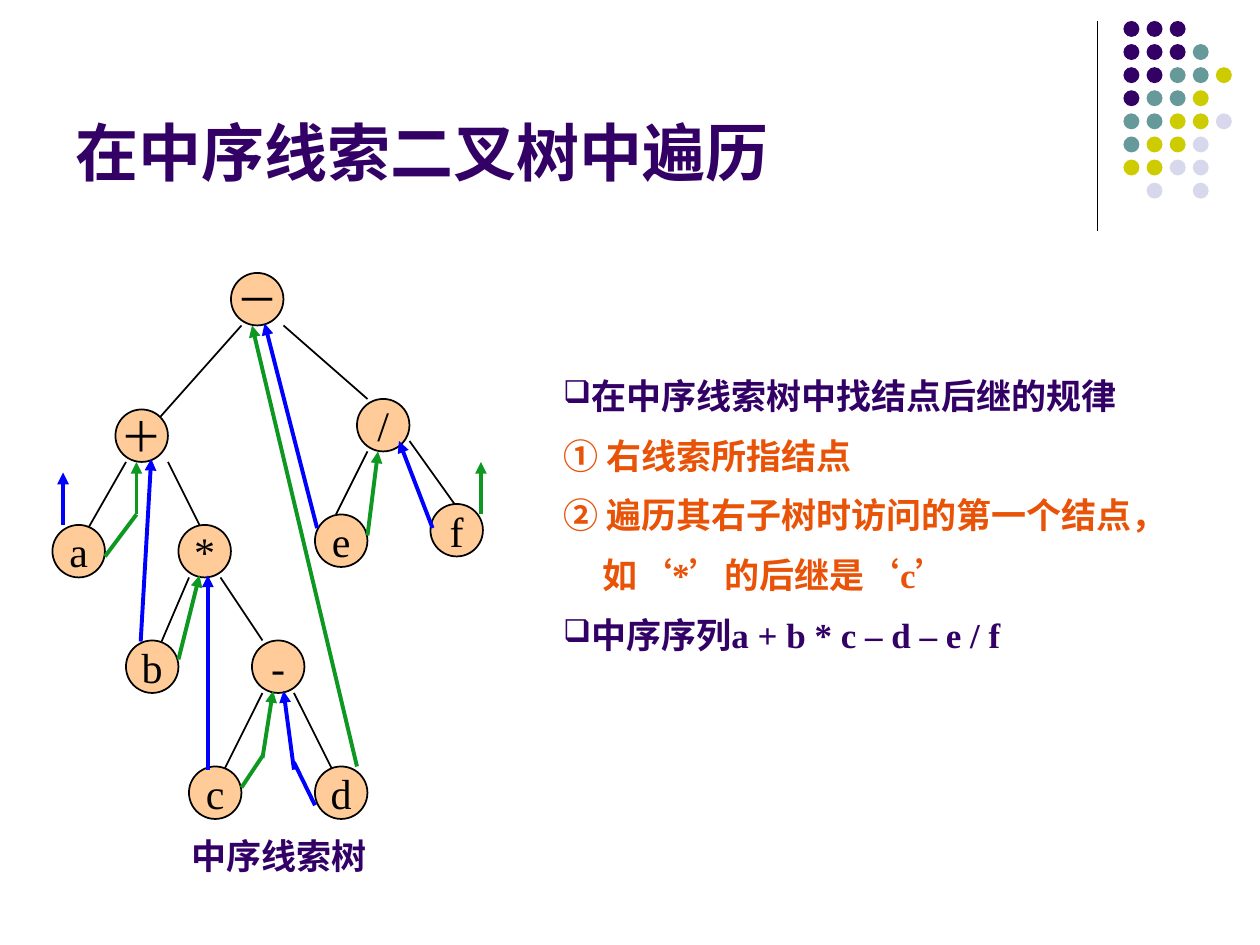
from dataclasses import dataclass

from pptx import Presentation
from pptx import util as u
from pptx.dml.color import RGBColor
from pptx.enum import shapes, text
from pptx.oxml.ns import qn
from lxml import etree

PLUM = RGBColor(0x33, 0x00, 0x66)
TEAL = RGBColor(0x66, 0x99, 0x99)
LIME = RGBColor(0xCC, 0xCC, 0x00)
PALE = RGBColor(0xD8, 0xD8, 0xEC)
PEACH = RGBColor(0xFF, 0xCC, 0x99)
RUST = RGBColor(0xE8, 0x53, 0x08)
GREEN = RGBColor(0x0E, 0x98, 0x22)
BLUE = RGBColor(0x00, 0x00, 0xFF)
BLACK = RGBColor(0, 0, 0)
FONT = "Times New Roman"
SIZE = 5  # node diameter in cells


@dataclass
class Node:
    label: str
    col: float
    row: float


@dataclass
class Thread:
    color: RGBColor
    points: list
    arrow: bool = True


@dataclass
class Line:
    words: str
    color: RGBColor
    bullet: bool = False
    indent: float = 0


NODES = [
    Node("a", 5, 50), Node("－", 22, 26), Node("＋", 11, 39), Node("*", 17, 50),
    Node("/", 34, 38), Node("b", 12, 61), Node("-", 24, 61), Node("d", 30, 73),
    Node("c", 18, 73), Node("f", 41, 48), Node("e", 30, 49),
]
EDGES = [
    ((23, 31), (15, 40)), ((12, 44), (8, 51)), ((16, 44), (19, 50)),
    ((18, 55), (15, 62)), ((21, 55), (25, 61)), ((28, 66), (32, 74)),
    ((25, 66), (21, 74)), ((27, 31), (35, 38)), ((35, 43), (32, 49)),
    ((39, 42), (44, 49)),
]
THREADS = [
    Thread(GREEN, [(10, 53), (13, 49), (13, 44)]),
    Thread(BLUE, [(6, 50), (6, 45)]),
    Thread(GREEN, [(34, 73), (24, 31)]),
    Thread(GREEN, [(45.8, 49), (45.8, 44)]),
    Thread(BLUE, [(41.2, 50.3), (38, 42)]),
    Thread(GREEN, [(35, 51), (36, 43)]),
    Thread(BLUE, [(30.2, 50.3), (25.2, 30.8)]),
    Thread(BLUE, [(13.4, 61.1), (14.4, 43.7)]),
    Thread(GREEN, [(17, 62.8), (19, 54.8)]),
    Thread(BLUE, [(19.8, 73.3), (19.8, 54.8)]),
    Thread(GREEN, [(23, 75), (25, 72)], arrow=False),
    Thread(GREEN, [(25, 72.2), (26, 65.8)]),
    Thread(BLUE, [(30, 76.7), (28, 72.6)], arrow=False),
    Thread(BLUE, [(28, 73.3), (27, 65.8)]),
]
NOTES = [
    Line("在中序线索树中找结点后继的规律", PLUM, bullet=True),
    Line("① 右线索所指结点", RUST),
    Line("② 遍历其右子树时访问的第一个结点，", RUST),
    Line("如‘*’的后继是‘c’", RUST, indent=0.31),
    Line("中序序列a + b * c – d – e / f", PLUM, bullet=True),
]
DOTS = ["PPP", "PPPT", "PPTTL", "PTTL", "TTLLW", "TLLW", "LLWW", " W W"]
TINTS = {"P": PLUM, "T": TEAL, "L": LIME, "W": PALE}


def cell(n: float) -> int:
    """Length of n grid cells, twelve to the inch."""
    return u.Inches(n / 12)


def write(para, words: str, size=20, color=PLUM, bold=True, align=None) -> None:
    run = para.add_run()
    run.text = words
    font = run.font
    font.name, font.size, font.bold = FONT, u.Pt(size), bold
    font.color.rgb = color
    para.alignment = align


def mark(para) -> None:
    """Give the paragraph a hollow square bullet."""
    ppr = para._p.get_or_add_pPr()
    tint = etree.SubElement(ppr, qn("a:buClr"))
    etree.SubElement(tint, qn("a:srgbClr"), val=str(PLUM))
    etree.SubElement(ppr, qn("a:buSzPct"), val="90000")
    etree.SubElement(ppr, qn("a:buChar"), char="❑")


def rule(slide, start, end, color=BLACK, width=1.0, arrow=False) -> None:
    line = slide.shapes.add_connector(
        shapes.MSO_CONNECTOR.STRAIGHT, *map(cell, (*start, *end)))
    line.line.color.rgb = color
    line.line.width = u.Pt(width)
    if arrow:
        etree.SubElement(line.line._get_or_add_ln(), qn("a:tailEnd"), type="triangle")
    etree.SubElement(line._element.spPr, qn("a:effectLst"))


def disc(slide, col: float, row: float, size: float, fill: RGBColor):
    dot = slide.shapes.add_shape(
        shapes.MSO_SHAPE.OVAL, cell(col), cell(row), cell(size), cell(size))
    dot.shadow.inherit = False
    dot.fill.solid()
    dot.fill.fore_color.rgb = fill
    dot.line.fill.background()
    return dot


def draw(slide, node: Node) -> None:
    ball = disc(slide, node.col, node.row, SIZE, PEACH)
    ball.line.color.rgb = BLACK
    ball.line.width = u.Pt(1)
    frame = ball.text_frame
    frame.word_wrap = False
    frame.vertical_anchor = text.MSO_ANCHOR.MIDDLE
    write(frame.paragraphs[0], node.label, size=24, color=BLACK, bold=False,
          align=text.PP_ALIGN.CENTER)


def box(slide, left: float, top: float, width: float, height: float):
    frame = slide.shapes.add_textbox(*map(u.Inches, (left, top, width, height))).text_frame
    frame.word_wrap = True
    return frame


def head(slide) -> None:
    title = slide.shapes.title
    title.left, title.top = u.Inches(0.5), u.Inches(0.13)
    title.width, title.height = u.Inches(8.25), u.Inches(1.42)
    frame = title.text_frame
    frame.auto_size = text.MSO_AUTO_SIZE.NONE
    frame.vertical_anchor = text.MSO_ANCHOR.BOTTOM
    write(frame.paragraphs[0], "在中序线索二叉树中遍历", size=36,
          align=text.PP_ALIGN.LEFT)


def list_notes(slide) -> None:
    frame = box(slide, 4.37, 2.96, 4.98, 2.3)
    for i, item in enumerate(NOTES):
        para = frame.add_paragraph() if i else frame.paragraphs[0]
        if item.bullet:
            mark(para)
        if item.indent:
            para._p.get_or_add_pPr().set("marL", str(u.Inches(item.indent)))
        para.line_spacing = 0.9
        para.space_before = u.Pt(12.5 if i else 0)
        write(para, item.words, color=item.color)


def main() -> None:
    deck = Presentation()
    deck.slide_width, deck.slide_height = u.Inches(10), u.Inches(7.5)
    slide = deck.slides.add_slide(deck.slide_layouts[5])
    rule(slide, (104.5, 2), (104.5, 22), width=0.75)
    for r, tints in enumerate(DOTS):
        for c, key in enumerate(tints):
            if key in TINTS:
                disc(slide, 107 + 2.2 * c, 2 + 2.2 * r, 1.52, TINTS[key])
    head(slide)
    list_notes(slide)
    for start, end in EDGES:
        rule(slide, start, end)
    for node in NODES:
        draw(slide, node)
    for thread in THREADS:
        last = len(thread.points) - 2
        for i, (start, end) in enumerate(zip(thread.points, thread.points[1:])):
            rule(slide, start, end, thread.color, 2.25, thread.arrow and i == last)
    write(box(slide, 1.42, 6.57, 2, 0.44).paragraphs[0], "中序线索树")
    deck.save("out.pptx")


if __name__ == "__main__":
    main()
